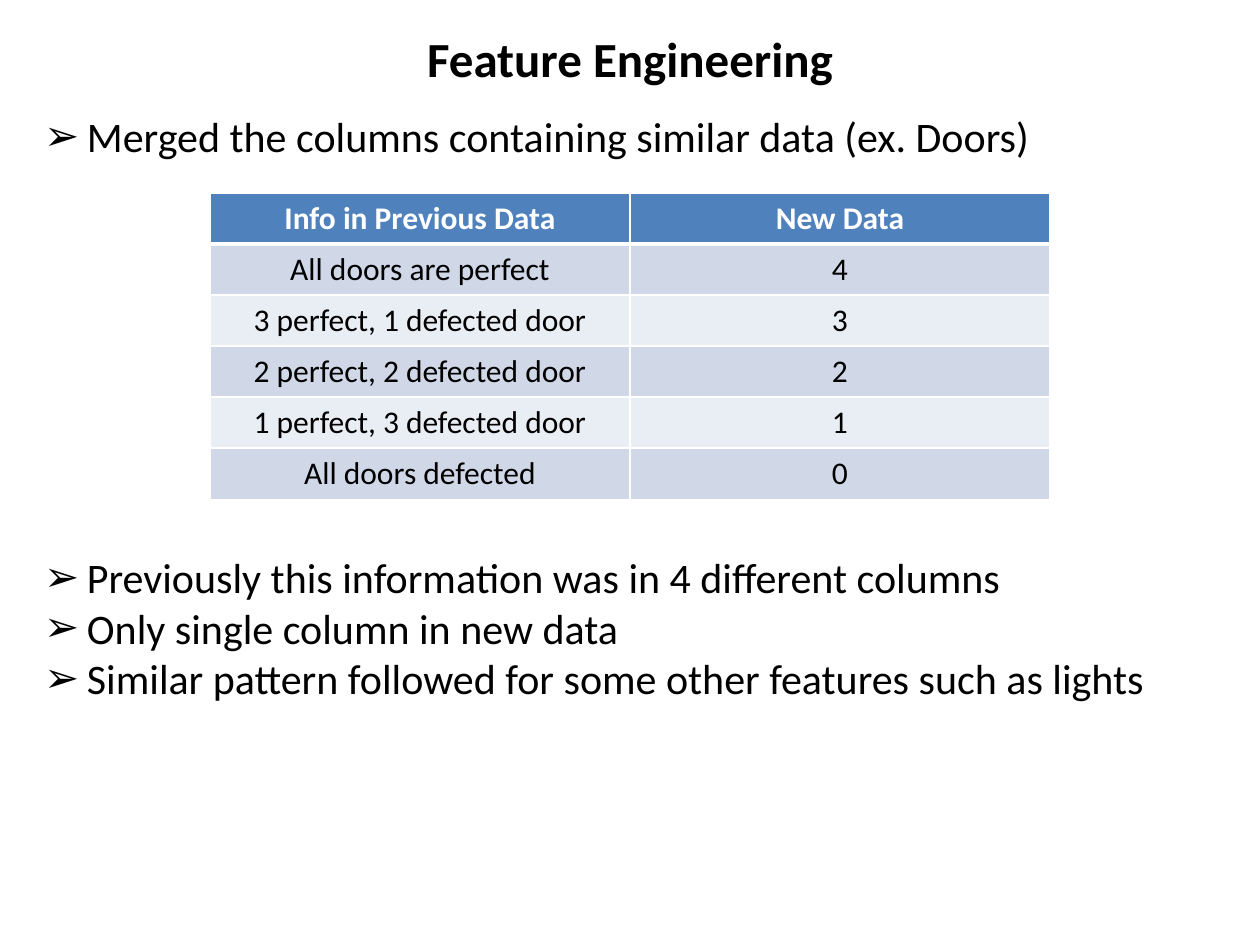
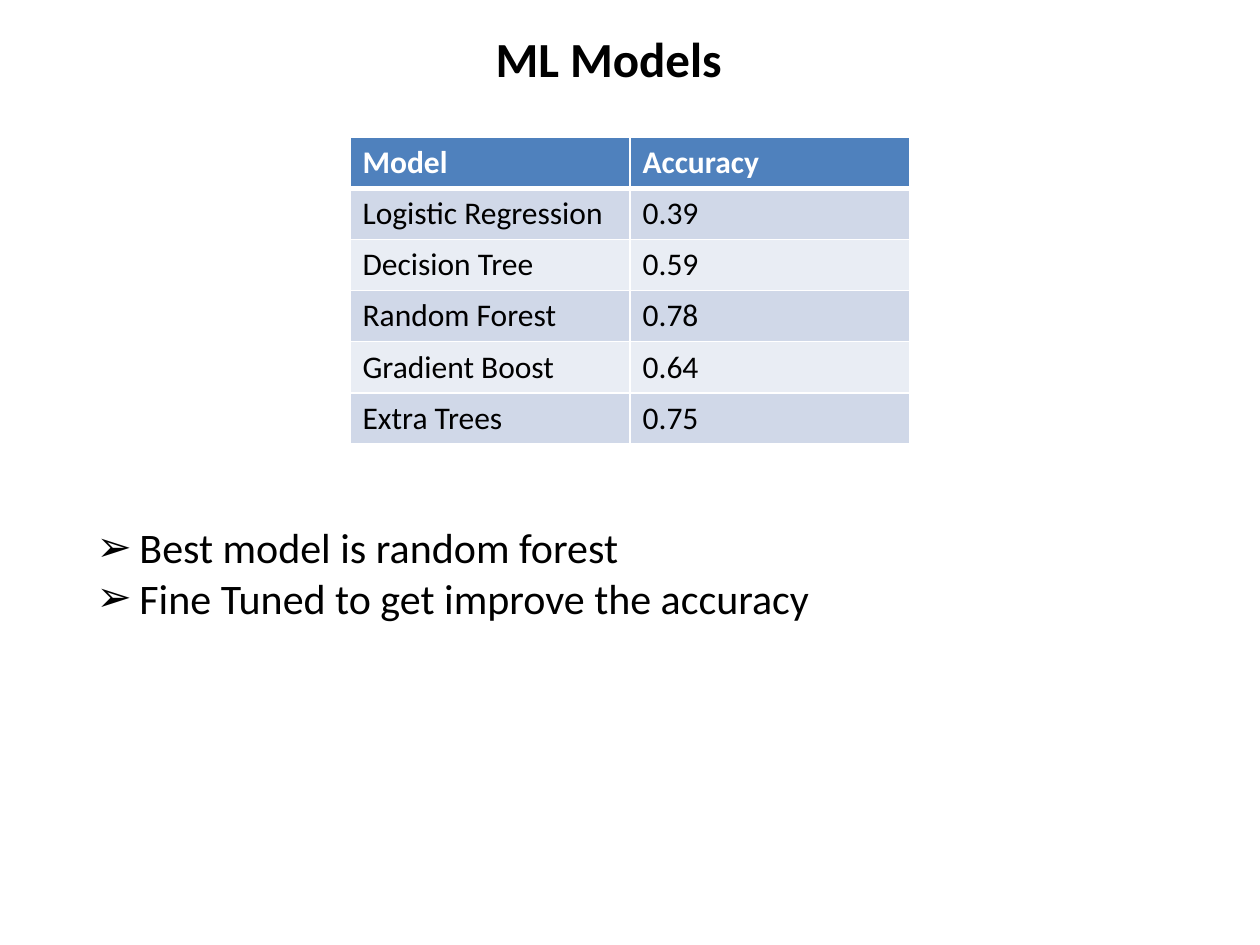
from dataclasses import dataclass
from lxml.etree import SubElement
from pptx import Presentation
from pptx.dml.color import RGBColor
from pptx.enum.text import MSO_ANCHOR as Anchor, MSO_AUTO_SIZE as AutoSize, PP_ALIGN as Align
from pptx.oxml.ns import qn
from pptx.util import Inches, Pt


@dataclass(frozen=True)
class Theme:
    font: str = "Calibri"
    text: str = "000000"
    white: str = "FFFFFF"
    header: str = "4F81BD"
    bands: tuple = ("D0D8E8", "E9EDF4")
    title_size: int = 28
    list_size: int = 24
    table_size: int = 18
    bullet: str = "\u27a2"
    indent: float = 0.34
    line: int = 1
    header_line: int = 3


THEME = Theme()
WIDTH, HEIGHT = 10, 7.5
TITLE_TOP, TITLE_HEIGHT = 0.18, 0.57
ROW_HEIGHT = 0.405
TWO_LISTS, ONE_LIST = 3, 1  # layouts of the default template


def write(tf, lines, size, color=THEME.text, bold=False, align=Align.LEFT, bullet=None):
    """Fill a text frame with one paragraph per line."""
    for i, line in enumerate(lines):
        p = tf.paragraphs[0] if i == 0 else tf.add_paragraph()
        p.alignment = align
        p.space_before = Pt(0)
        r = p.add_run()
        r.text = line
        r.font.name, r.font.size, r.font.bold = THEME.font, Pt(size), bold
        r.font.color.rgb = RGBColor.from_string(color)
        if bullet:
            pPr = p._p.get_or_add_pPr()
            pPr.set("marL", str(Inches(THEME.indent)))
            pPr.set("indent", str(-Inches(THEME.indent)))
            SubElement(pPr, qn("a:buChar"), char=bullet)


def place(sp, box):
    """Move a placeholder to a box and return its text frame."""
    sp.left, sp.top, sp.width, sp.height = map(Inches, box)
    tf = sp.text_frame
    tf.auto_size = AutoSize.NONE
    tf.word_wrap = True
    tf.vertical_anchor = Anchor.TOP
    return tf


def add_title(s, text, width, center=WIDTH / 2):
    tf = place(s.shapes.title, (center - width / 2, TITLE_TOP, width, TITLE_HEIGHT))
    tf.word_wrap = False
    write(tf, [text], THEME.title_size, bold=True, align=Align.CENTER)


def add_list(sp, box, lines):
    tf = place(sp, box)
    tf.margin_right = 0
    write(tf, lines, THEME.list_size, bullet=THEME.bullet)


def set_borders(cell, **widths):
    """Draw white cell borders; the keys are the sides L, R, T and B."""
    tcPr = cell._tc.get_or_add_tcPr()
    for side, width in widths.items():
        ln = SubElement(tcPr, qn(f"a:ln{side}"), w=str(Pt(width)))
        fill = SubElement(ln, qn("a:solidFill"))
        SubElement(fill, qn("a:srgbClr"), val=THEME.white)


def add_data_table(s, top, width, rows, align=Align.LEFT):
    """Add a centred table with a header row and banded body rows."""
    box = ((WIDTH - width) / 2, top, width, ROW_HEIGHT * len(rows))
    table = s.shapes.add_table(len(rows), len(rows[0]), *map(Inches, box)).table
    for i, values in enumerate(rows):
        table.rows[i].height = Inches(ROW_HEIGHT)
        is_header = i == 0
        fill = THEME.header if is_header else THEME.bands[(i - 1) % 2]
        for j, value in enumerate(values):
            cell = table.cell(i, j)
            set_borders(cell, L=THEME.line, R=THEME.line,
                        T=THEME.header_line if i == 1 else THEME.line,
                        B=THEME.header_line if is_header else THEME.line)
            cell.fill.solid()
            cell.fill.fore_color.rgb = RGBColor.from_string(fill)
            write(cell.text_frame, [value], THEME.table_size, bold=is_header, align=align,
                  color=THEME.white if is_header else THEME.text)


def feature_slide(prs):
    s = prs.slides.add_slide(prs.slide_layouts[TWO_LISTS])
    left = WIDTH / 40
    add_title(s, "Feature Engineering", 3.46)
    add_list(s.placeholders[1], (left, 0.83, 8.06, 0.5),
             ["Merged the columns containing similar data (ex. Doors)"])
    add_data_table(s, 1.53, WIDTH * 2 / 3, [
        ("Info in Previous Data", "New Data"),
        ("All doors are perfect", "4"),
        ("3 perfect, 1 defected door", "3"),
        ("2 perfect, 2 defected door", "2"),
        ("1 perfect, 3 defected door", "1"),
        ("All doors defected", "0"),
    ], align=Align.CENTER)
    add_list(s.placeholders[2], (left, 4.33, 9.02, 1.31), [
        "Previously this information was in 4 different columns",
        "Only single column in new data",
        "Similar pattern followed for some other features such as lights",
    ])


def models_slide(prs):
    s = prs.slides.add_slide(prs.slide_layouts[ONE_LIST])
    add_title(s, "ML Models", 2.02, center=4.83)
    add_data_table(s, 1.09, WIDTH * 4 / 9, [
        ("Model", "Accuracy"),
        ("Logistic Regression", "0.39"),
        ("Decision Tree", "0.59"),
        ("Random Forest", "0.78"),
        ("Gradient Boost", "0.64"),
        ("Extra Trees", "0.75"),
    ])
    add_list(s.placeholders[1], (WIDTH / 15, 4.09, 5.91, 0.91), [
        "Best model is random forest",
        "Fine Tuned to get improve the accuracy",
    ])


prs = Presentation()
prs.slide_width, prs.slide_height = Inches(WIDTH), Inches(HEIGHT)
feature_slide(prs)
models_slide(prs)
prs.save("out.pptx")
